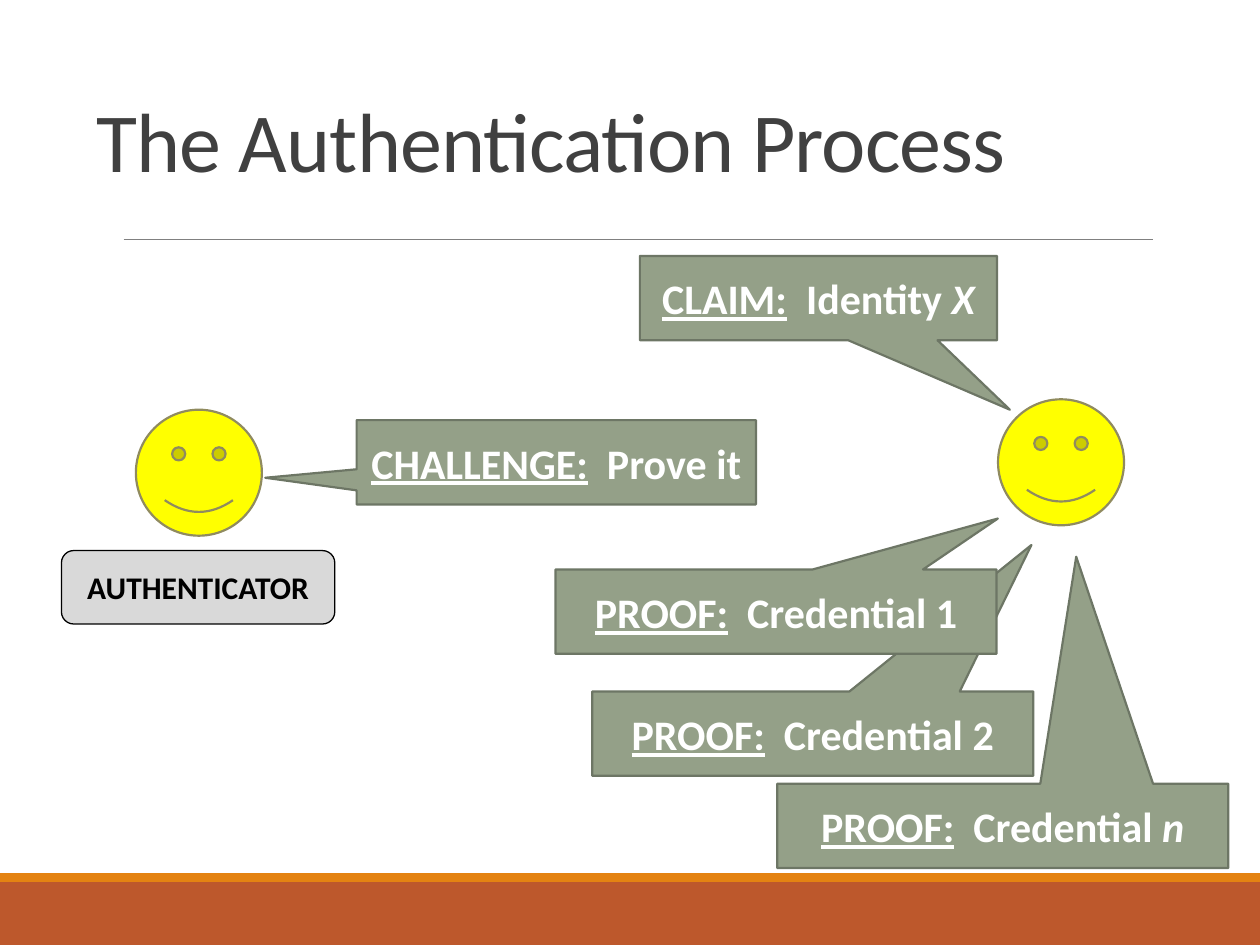
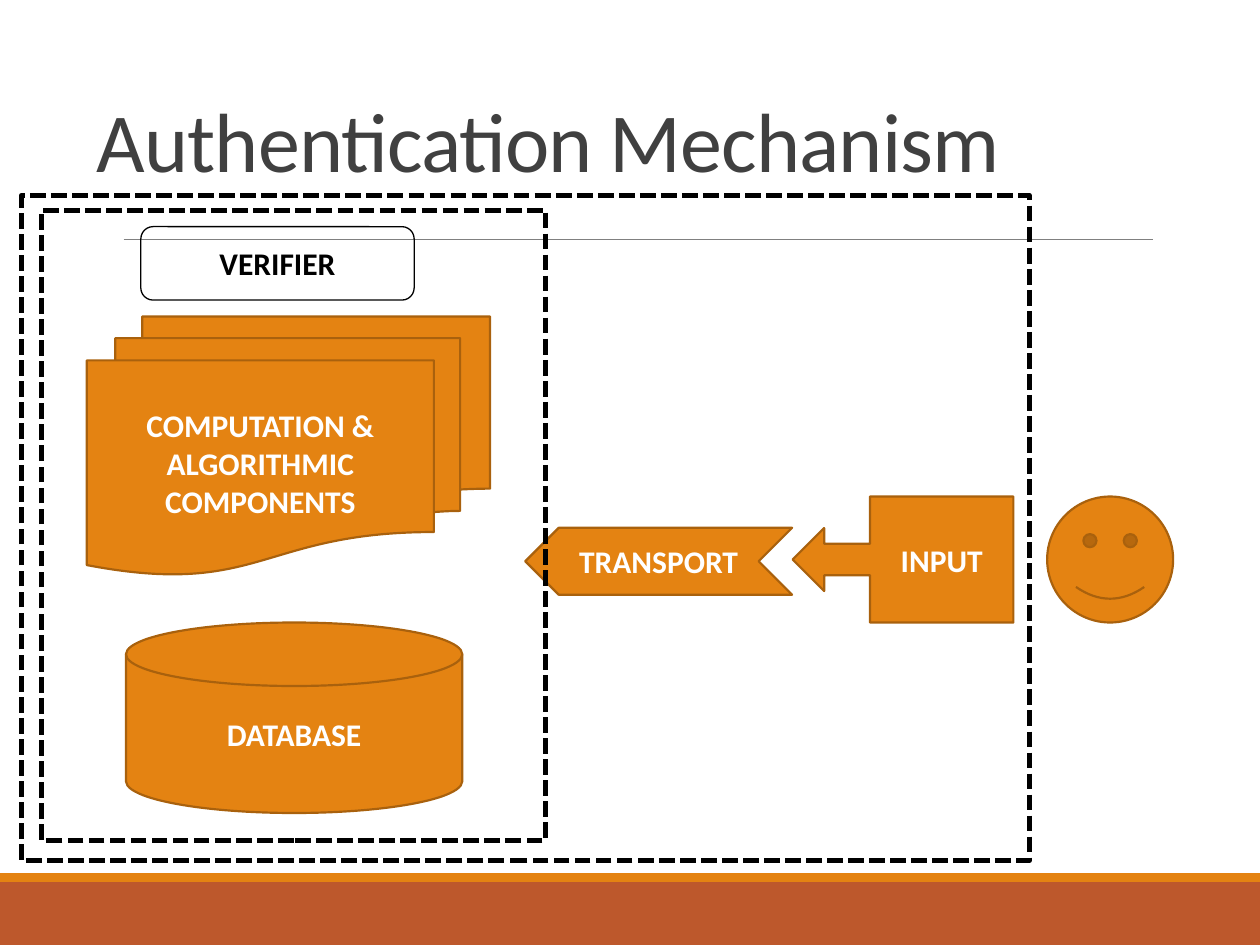
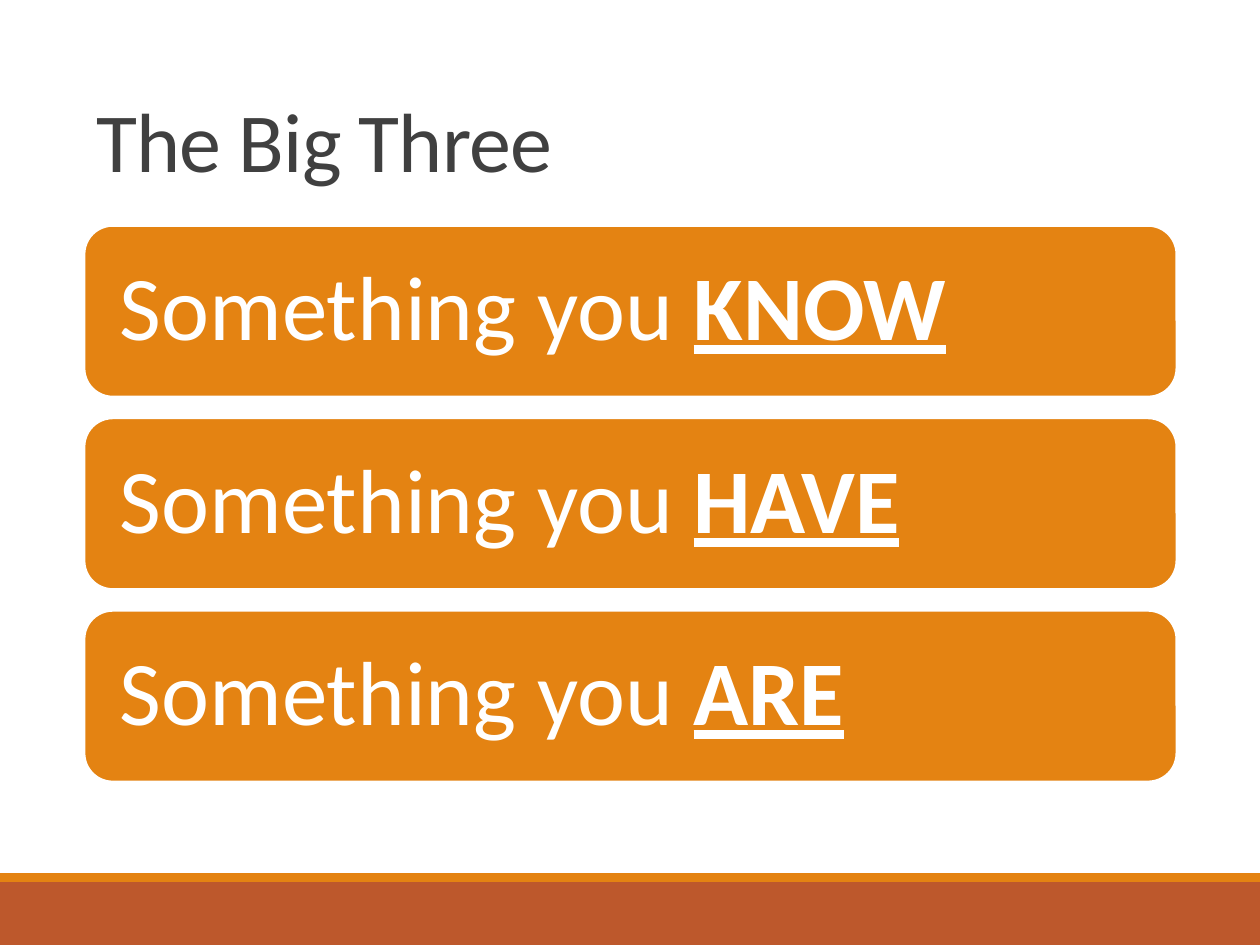
from dataclasses import dataclass

from lxml.etree import SubElement
from pptx import Presentation
from pptx.dml.color import RGBColor
from pptx.enum.dml import MSO_LINE
from pptx.enum.shapes import MSO_CONNECTOR, MSO_SHAPE as Shape
from pptx.enum.text import MSO_ANCHOR as Anchor, PP_ALIGN as Align
from pptx.oxml.ns import qn
from pptx.util import Cm, Pt


@dataclass(frozen=True)
class Theme:
    font: str = "Calibri"
    white: RGBColor = RGBColor.from_string("FFFFFF")
    black: RGBColor = RGBColor.from_string("000000")
    title: RGBColor = RGBColor.from_string("404040")
    rule: RGBColor = RGBColor.from_string("808080")
    gray: RGBColor = RGBColor.from_string("D9D9D9")
    rust: RGBColor = RGBColor.from_string("BD582C")
    orange: RGBColor = RGBColor.from_string("E48312")
    orange_edge: RGBColor = RGBColor.from_string("A9610D")
    sage: RGBColor = RGBColor.from_string("94A088")
    sage_edge: RGBColor = RGBColor.from_string("6D7665")
    yellow: RGBColor = RGBColor.from_string("FFFF00")
    yellow_edge: RGBColor = RGBColor.from_string("908B5F")
    title_size: int = 48
    factor_size: int = 52
    speech_size: int = 24
    label_size: int = 18


THEME = Theme()


def add_run(paragraph, text, *, size, color, bold=False, italic=False,
            underline=False, spacing=None):
    """Append formatted text; spacing is the letter spacing in points."""
    run = paragraph.add_run()
    run.text = text
    font = run.font
    font.name, font.size, font.color.rgb = THEME.font, Pt(size), color
    font.bold, font.italic, font.underline = bold, italic, underline
    if spacing is not None:
        run._r.get_or_add_rPr().set("spc", str(round(spacing * 100)))


class Deck:
    def __init__(self, theme):
        self.theme = theme
        self.presentation = Presentation()
        self.presentation.slide_width = Cm(25.4)
        self.presentation.slide_height = Cm(19.05)
        self.slide = None

    def start_slide(self, title, ruled=True):
        """Open a slide with the shared bands, rule and title."""
        theme = self.theme
        self.slide = self.presentation.slides.add_slide(self.presentation.slide_layouts[6])
        self.shape(Shape.RECTANGLE, 0, 17.78, 25.4, 1.27, fill=theme.rust)
        self.shape(Shape.RECTANGLE, 0, 17.6, 25.4, 0.18, fill=theme.orange)
        if ruled:
            self.rule(2.49, 23.24, 4.83)
        box = self.slide.shapes.add_textbox(Cm(1.7), Cm(0.76), Cm(22.02), Cm(3.18))
        paragraph = self.prepare_text(box, Align.LEFT, Anchor.BOTTOM)
        paragraph.line_spacing = 0.85
        add_run(paragraph, title, size=theme.title_size, color=theme.title, spacing=-0.5)

    def rule(self, left, right, top):
        line = self.slide.shapes.add_connector(
            MSO_CONNECTOR.STRAIGHT, Cm(left), Cm(top), Cm(right), Cm(top))
        line.line.color.rgb, line.line.width = self.theme.rule, Pt(0.5)
        SubElement(line._element.spPr, qn("a:effectLst"))

    def shape(self, kind, left, top, width, height, *, fill=None, edge=None,
              weight=1.25, dash=None):
        shape = self.slide.shapes.add_shape(kind, Cm(left), Cm(top), Cm(width), Cm(height))
        shape.shadow.inherit = False
        if fill is None:
            shape.fill.background()
        else:
            shape.fill.solid()
            shape.fill.fore_color.rgb = fill
        if edge is None:
            shape.line.fill.background()
        else:
            shape.line.color.rgb, shape.line.width = edge, Pt(weight)
        if dash is not None:
            shape.line.dash_style = dash
        return shape

    def prepare_text(self, shape, align=Align.CENTER, anchor=Anchor.MIDDLE):
        frame = shape.text_frame
        frame.word_wrap, frame.vertical_anchor = True, anchor
        frame.paragraphs[0].alignment = align
        return frame.paragraphs[0]

    def face(self, left, top, fill, edge):
        self.shape(Shape.SMILEY_FACE, left, top, 2.54, 2.54, fill=fill, edge=edge)

    def speech(self, left, top, width, pointer, heading, message, variable=""):
        """Draw a callout whose pointer is given as fractions of its size."""
        theme = self.theme
        callout = self.shape(Shape.RECTANGULAR_CALLOUT, left, top, width, 1.7,
                             fill=theme.sage, edge=theme.sage_edge)
        callout.adjustments[0], callout.adjustments[1] = pointer
        paragraph = self.prepare_text(callout)
        style = dict(size=theme.speech_size, color=theme.white, bold=True)
        add_run(paragraph, heading, underline=True, **style)
        add_run(paragraph, " ", spacing=5.4, **style)
        add_run(paragraph, message, **style)
        if variable:
            add_run(paragraph, variable, italic=True, **style)

    def component(self, kind, left, top, width, height, text):
        theme = self.theme
        shape = self.shape(kind, left, top, width, height,
                           fill=theme.orange, edge=theme.orange_edge)
        add_run(self.prepare_text(shape), text, size=theme.label_size,
                color=theme.white, bold=True)
        return shape

    def role(self, left, top, text, fill=None):
        theme = self.theme
        shape = self.shape(Shape.ROUNDED_RECTANGLE, left, top, 5.51, 1.48,
                           fill=fill, edge=theme.black, weight=0.75)
        add_run(self.prepare_text(shape), text, size=theme.label_size,
                color=theme.black, bold=True)

    def boundary(self, left, top, width, height):
        self.shape(Shape.RECTANGLE, left, top, width, height,
                   edge=self.theme.black, weight=3, dash=MSO_LINE.SQUARE_DOT)

    def factor(self, top, keyword):
        theme = self.theme
        bar = self.shape(Shape.ROUNDED_RECTANGLE, 1.7, top, 22.02, 3.45,
                         fill=theme.orange, edge=theme.white)
        paragraph = self.prepare_text(bar, Align.LEFT)
        frame = bar.text_frame
        frame.margin_left = frame.margin_right = Cm(0.55)
        frame.margin_top = frame.margin_bottom = Cm(0.55)
        paragraph.line_spacing = 0.9
        style = dict(size=theme.factor_size, color=theme.white)
        add_run(paragraph, "Something you ", **style)
        add_run(paragraph, keyword, bold=True, underline=True, **style)


def build_process(deck):
    theme = deck.theme
    deck.start_slide("The Authentication Process")
    # Later proofs lie behind the faces and the first proof
    deck.speech(15.67, 15.8, 9.09, (0.163, -3.192), "PROOF:", "Credential ", "n")
    deck.speech(11.94, 13.94, 8.89, (0.496, -2.238), "PROOF:", "Credential 2")
    # Claimant and authenticator
    for left, top in ((20.12, 8.05), (2.74, 8.26)):
        deck.face(left, top, theme.yellow, theme.yellow_edge)
    # Dialogue
    deck.speech(12.9, 5.16, 7.2, (0.536, 1.324), "CLAIM:", "Identity ", "X")
    deck.speech(7.19, 8.47, 8.05, (-0.729, 0.184), "CHALLENGE:", "Prove it")
    deck.speech(11.2, 11.48, 8.89, (0.503, -1.104), "PROOF:", "Credential 1")
    deck.role(1.24, 11.1, "AUTHENTICATOR", theme.gray)


def build_mechanism(deck):
    theme = deck.theme
    deck.start_slide("Authentication Mechanism")
    # User and input
    deck.component(Shape.LEFT_ARROW_CALLOUT, 15.98, 10.01, 4.45, 2.54, "INPUT")
    deck.face(21.11, 10.01, theme.orange, theme.orange_edge)
    # Verifier parts and the transport leading to them
    deck.component(Shape.FLOWCHART_MAGNETIC_DISK, 2.54, 12.55, 6.78, 3.84, "DATABASE")
    deck.component(Shape.FLOWCHART_MULTIDOCUMENT, 1.75, 6.38, 8.13, 5.21,
                   "COMPUTATION & ALGORITHMIC COMPONENTS")
    transport = deck.component(Shape.CHEVRON, 10.59, 10.64, 5.38, 1.35, "TRANSPORT")
    transport._element.spPr.find(qn("a:xfrm")).set("flipH", "1")
    # Verifier and system boundaries
    deck.boundary(0.84, 4.24, 10.16, 12.7)
    deck.boundary(0.43, 3.94, 20.32, 13.41)
    deck.role(2.84, 4.57, "VERIFIER")


def build_factors(deck):
    deck.start_slide("The Big Three", ruled=False)
    for index, keyword in enumerate(("KNOW", "HAVE", "ARE")):
        deck.factor(4.55 + index * 3.88, keyword)


def main():
    deck = Deck(THEME)
    for build in (build_process, build_mechanism, build_factors):
        build(deck)
    deck.presentation.save("out.pptx")


if __name__ == "__main__":
    main()
